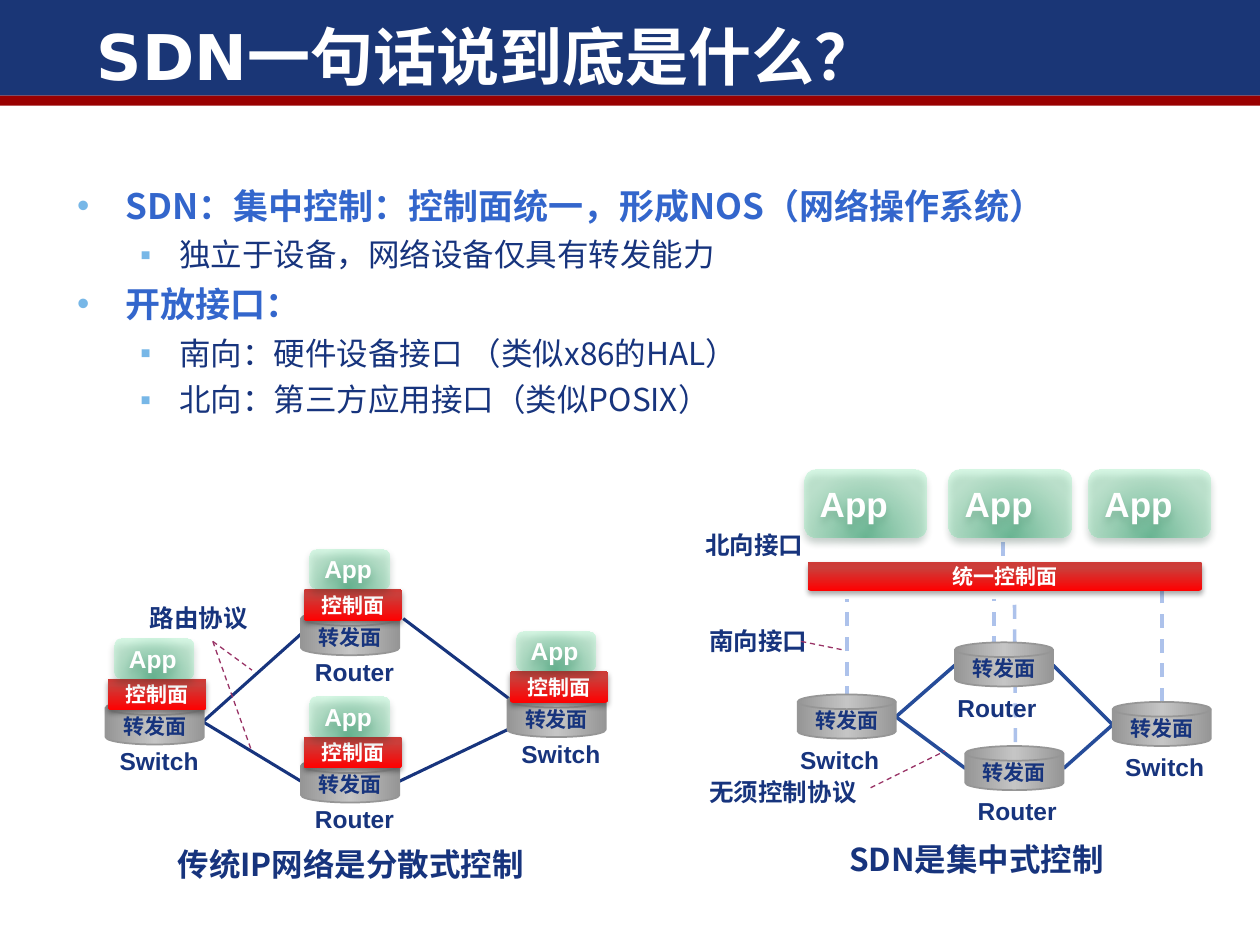
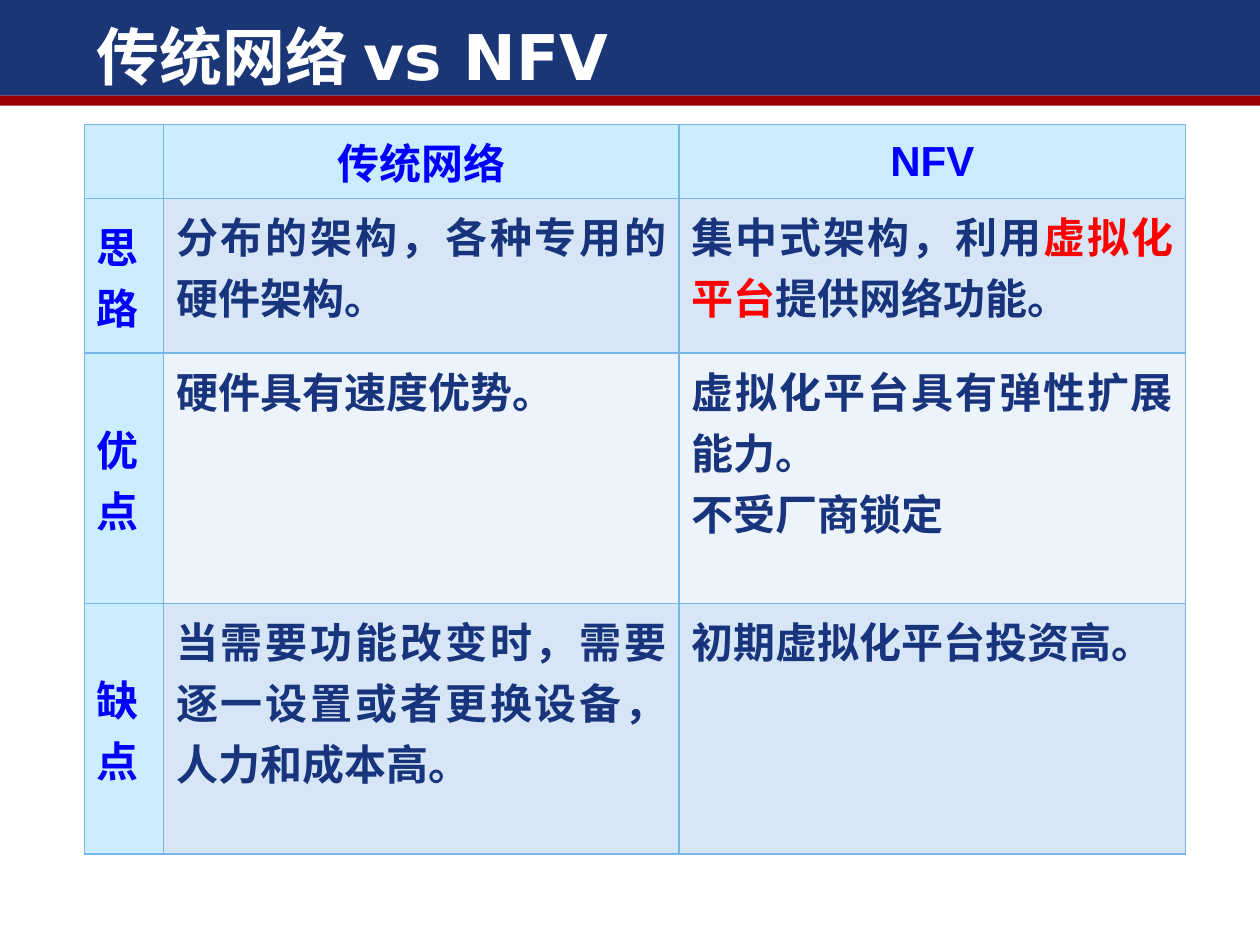
import pptx
import pptx.dml.color
import pptx.enum.shapes
import pptx.enum.text
import pptx.oxml
import pptx.oxml.ns
import pptx.util

Cm = pptx.util.Cm
Pt = pptx.util.Pt
SHAPE = pptx.enum.shapes.MSO_SHAPE
ALIGN = pptx.enum.text.PP_ALIGN
ANCHOR = pptx.enum.text.MSO_ANCHOR

NAVY, WHITE, BLUE, SKY, RED = "17347D", "FFFFFF", "0000FF", "77B7E7", "FF0000"
BAND, STRIPE, HEADING = "1A3676", "990000", "3366CC"
LINK, DASH, CALLOUT = "264C99", "ADC2EB", "993366"
HEAD_FILL, ROW_FILLS = "CCECFF", ("D6E6F6", "ECF3FA")
DISK_STOPS = [(0, "969696", 100), (50, "C5C5C5", 100), (100, "969696", 100)]
CONTROL_STOPS = [(0, "FF0000", 100), (80, "CB3E3A", 100), (100, "CE3B37", 100)]
APP_STOPS = [(0, "30A972", 60), (100, "A6EFC5", 45)]
CJK = "Noto Sans CJK SC"
DISK_W, DISK_H = 1.98, 0.89


def rgb(value):
    return pptx.dml.color.RGBColor.from_string(value)


def xml(tag, body):
    ns = pptx.oxml.ns.nsdecls("a")
    name = tag.split()[0]
    return pptx.oxml.parse_xml(f"<a:{tag} {ns}>{body}</a:{name}>")


def add_run(p, text, size, color, bold=True, font="Arial"):
    r = p.add_run()
    r.text = text
    r.font.size = Pt(size)
    r.font.bold = bold
    r.font.name = font
    r.font.color.rgb = rgb(color)
    r.font._element.find(pptx.oxml.ns.qn("a:latin")).addnext(
        xml(f'ea typeface="{CJK}"', ""))


def set_gradient(sp, stops, direction):
    gs = "".join(
        f'<a:gs pos="{pos * 1000}"><a:srgbClr val="{color}">'
        f'<a:alpha val="{alpha * 1000}"/></a:srgbClr></a:gs>'
        for pos, color, alpha in stops)
    fill = xml("gradFill", f"<a:gsLst>{gs}</a:gsLst>{direction}")
    sp._element.spPr.find(pptx.oxml.ns.qn("a:prstGeom")).addnext(fill)


def linear(degrees):
    return f'<a:lin ang="{degrees * 60000}" scaled="0"/>'


def set_shadow(sp, color, alpha, blur, dist):
    effects = sp._element.spPr.find(pptx.oxml.ns.qn("a:effectLst"))
    effects.append(xml(
        f'outerShdw blurRad="{Pt(blur)}" dist="{Pt(dist)}" dir="5400000" rotWithShape="0"',
        f'<a:srgbClr val="{color}"><a:alpha val="{alpha * 1000}"/></a:srgbClr>'))


def add_shape(slide, kind, x, y, w, h):
    sp = slide.shapes.add_shape(kind, Cm(x), Cm(y), Cm(w), Cm(h))
    sp.line.fill.background()
    sp.shadow.inherit = False
    return sp


def shape_text(sp, text, size, color, font="Arial", align=ALIGN.CENTER):
    tf = sp.text_frame
    tf.vertical_anchor = ANCHOR.MIDDLE
    p = tf.paragraphs[0]
    p.alignment = align
    add_run(p, text, size, color, font=font)


def add_disk(slide, x, y):
    sp = add_shape(slide, SHAPE.FLOWCHART_MAGNETIC_DISK, x, y, DISK_W, DISK_H)
    set_gradient(sp, DISK_STOPS, linear(0))
    sp.line.color.rgb = rgb("969696")
    sp.line.width = Pt(1)
    shape_text(sp, "转发面", 12, NAVY)
    sp.text_frame.word_wrap = False


def add_control(slide, text, x, y, w, h):
    sp = add_shape(slide, SHAPE.ROUNDED_RECTANGLE, x, y, w, h)
    sp.adjustments[0] = 0.1
    set_gradient(sp, CONTROL_STOPS, linear(270))
    set_shadow(sp, "000000", 35, 3.1, 1.8)
    shape_text(sp, text, 12, WHITE, "Calibri")


def add_app(slide, x, y, w, h, size):
    sp = add_shape(slide, SHAPE.ROUNDED_RECTANGLE, x, y, w, h)
    set_gradient(sp, APP_STOPS, '<a:path path="circle"><a:fillToRect '
                 'l="50000" t="100000" r="50000" b="0"/></a:path>')
    set_shadow(sp, "153728", 48, 4.5, 3)
    shape_text(sp, "App", size, WHITE, align=ALIGN.LEFT)


def add_label(slide, text, x, y, w, size=14):
    sp = slide.shapes.add_textbox(Cm(x), Cm(y), Cm(w), Cm(0.86))
    tf = sp.text_frame
    tf.word_wrap = True
    add_run(tf.paragraphs[0], text, size, NAVY,
            font="Arial" if text.isascii() else CJK)


def add_lines(slide, x, y, lines, color, width, dashed=False):
    for x1, y1, x2, y2 in lines:
        ln = slide.shapes.add_connector(
            pptx.enum.shapes.MSO_CONNECTOR.STRAIGHT,
            Cm(x + x1), Cm(y + y1), Cm(x + x2), Cm(y + y2))
        ln.line.color.rgb = rgb(color)
        ln.line.width = Pt(width)
        if dashed:
            ln.line.dash_style = pptx.enum.dml.MSO_LINE.DASH
        ln._element.spPr.append(xml("effectLst", ""))


def add_device(slide, name, x, y):
    add_disk(slide, x, y)
    add_control(slide, "控制面", x + 0.05, y - 0.44, DISK_W, 0.64)
    add_app(slide, x + 0.18, y - 1.24, 1.6, 0.79, 14)
    add_label(slide, name, x + 0.03, y + 0.8, 2.39)


def build_master(prs, slide):
    tree = prs.slide_master.shapes._spTree
    for i, (color, y, h) in enumerate([(BAND, 0, 1.93), (STRIPE, 1.93, 0.2)]):
        sp = add_shape(slide, SHAPE.RECTANGLE, 0, y, 25.4, h)
        sp.fill.solid()
        sp.fill.fore_color.rgb = rgb(color)
        tree.insert(2 + i, sp._element)


def place(sp, x, y, w, h):
    sp.left, sp.top, sp.width, sp.height = Cm(x), Cm(y), Cm(w), Cm(h)
    sp.text_frame.auto_size = pptx.enum.text.MSO_AUTO_SIZE.NONE


def set_title(slide, text):
    sp = slide.shapes.title
    place(sp, 1.7, 0.33, 21.67, 1.57)
    shape_text(sp, text, 36, WHITE, "DejaVu Sans", ALIGN.LEFT)


def fill_body(sp, items):
    place(sp, 1.3, 3.56, 22.81, 8.3)
    tf = sp.text_frame
    tf.vertical_anchor = ANCHOR.TOP
    for i, (heading, text) in enumerate(items):
        p = tf.add_paragraph() if i else tf.paragraphs[0]
        indent, hang, bullet = (0.97, 0.97, "•") if heading else (2.06, 0.79, "▪")
        pPr = p._p.get_or_add_pPr()
        pPr.set("marL", str(Cm(indent)))
        pPr.set("indent", str(-Cm(hang)))
        pPr.append(xml("buClr", f'<a:srgbClr val="{SKY}"/>'))
        pPr.append(xml('buFont typeface="Arial"', ""))
        pPr.append(xml(f'buChar char="{bullet}"', ""))
        p.alignment = ALIGN.LEFT
        p.line_spacing = 1.04
        p.space_before = Pt((4.6 if heading else 4.2) if i else 0)
        add_run(p, text, 20 if heading else 18,
                HEADING if heading else NAVY, heading, CJK)


def draw_distributed(slide, x, y):
    add_lines(slide, x, y, [
        (1.96, 3.48, 3.94, 1.71), (1.96, 3.48, 3.94, 4.68),
        (5.92, 4.68, 8.1, 3.64), (6, 1.4, 8.18, 3.05)], NAVY, 1.75)
    for name, dx, dy in [("Switch", 0, 3.05), ("Router", 3.94, 4.22),
                         ("Router", 3.94, 1.25), ("Switch", 8.1, 2.9)]:
        add_device(slide, name, x + dx, y + dy)
    add_label(slide, "路由协议", x + 0.64, y + 0.97, 2.77)
    add_lines(slide, x, y, [(2.16, 1.86, 2.95, 2.44), (2.16, 1.86, 2.95, 4.09)],
              CALLOUT, 0.75, True)
    add_label(slide, "传统IP网络是分散式控制", x + 1.2, y + 5.85, 7.57, 18)


def draw_centralized(slide, x, y):
    add_lines(slide, x, y, [
        (6.25, 1.73, 6.25, 1.33), (9.45, 4.68, 9.45, 2.44),
        (6.07, 4.14, 6.07, 2.6), (6.5, 5.49, 6.48, 2.6),
        (3.1, 4.65, 3.1, 2.6)], DASH, 2, True)
    add_lines(slide, x, y, [
        (4.09, 4.98, 5.28, 3.94), (4.09, 4.98, 5.49, 6.02),
        (8.46, 5.14, 7.26, 3.94), (8.46, 5.14, 7.47, 6.02)], LINK, 2)
    for name, dx, dy, shift in [
            ("Switch", 2.11, 4.53, -0.2), ("Router", 5.28, 3.48, -0.2),
            ("Router", 5.49, 5.57, 0), ("Switch", 8.46, 4.68, 0)]:
        add_disk(slide, x + dx, y + dy)
        add_label(slide, name, x + dx + shift, y + dy + DISK_H, 2.39)
    add_control(slide, "统一控制面", x + 2.31, y + 1.86, 7.95, 0.58)
    for dx in (2.24, 5.16, 7.98):
        add_app(slide, x + dx, y, 2.46, 1.37, 20)
    for text, dx, dy in [("北向接口", 0, 1.1), ("南向接口", 0.08, 3.03),
                         ("无须控制协议", 0.08, 6.07)]:
        add_label(slide, text, x + dx, y + dy, 3.96)
    add_lines(slide, x, y, [(2.18, 3.46, 3.07, 3.64), (3.58, 6.41, 5.08, 5.67)],
              CALLOUT, 0.75, True)
    add_label(slide, "SDN是集中式控制", x + 2.9, y + 7.34, 5.79, 18)


def style_cell(cell, fill):
    cell.fill.solid()
    cell.fill.fore_color.rgb = rgb(fill)
    cell.margin_left = cell.margin_right = Cm(0.25)
    cell.margin_top = cell.margin_bottom = Cm(0.13)
    tcPr = cell._tc.get_or_add_tcPr()
    for i, side in enumerate(("lnL", "lnR", "lnT", "lnB")):
        tcPr.insert(i, xml(f'{side} w="{Pt(1)}"', '<a:solidFill>'
                           f'<a:srgbClr val="{SKY}"/></a:solidFill>'))


def draw_comparison(slide, x, y, rows):
    widths, heights = (1.6, 10.39, 10.21), (1.49, 3.12, 5.05, 5.05)
    frame = slide.shapes.add_table(len(heights), len(widths), Cm(x), Cm(y),
                                   Cm(sum(widths)), Cm(sum(heights)))
    table = frame.table
    for col, w in zip(table.columns, widths):
        col.width = Cm(w)
    for row, h in zip(table.rows, heights):
        row.height = Cm(h)
    for i, row in enumerate(rows):
        for j, paragraphs in enumerate(row):
            cell = table.cell(i, j)
            header = i == 0 or j == 0
            style_cell(cell, HEAD_FILL if header else ROW_FILLS[(i - 1) % 2])
            cell.vertical_anchor = ANCHOR.MIDDLE if header else ANCHOR.TOP
            tf = cell.text_frame
            for k, runs in enumerate(paragraphs):
                p = tf.add_paragraph() if k else tf.paragraphs[0]
                p.alignment = (ALIGN.CENTER if i == 0 else
                               ALIGN.LEFT if j == 0 else ALIGN.JUSTIFY)
                for n, text in enumerate(runs):
                    color = BLUE if header else RED if n % 2 else NAVY
                    add_run(p, text, 24, color)


def build_sdn(slide):
    set_title(slide, "SDN一句话说到底是什么？")
    fill_body(slide.placeholders[1], [
        (True, "SDN：集中控制：控制面统一，形成NOS（网络操作系统）"),
        (False, "独立于设备，网络设备仅具有转发能力"),
        (True, "开放接口："),
        (False, "南向：硬件设备接口 （类似x86的HAL）"),
        (False, "北向：第三方应用接口（类似POSIX）")])
    draw_distributed(slide, 2.13, 11.07)
    draw_centralized(slide, 13.97, 9.47)


def build_nfv(slide):
    set_title(slide, "传统网络 vs NFV")
    draw_comparison(slide, 1.7, 2.51, [
        [[], [["传统网络"]], [["NFV"]]],
        [[["思路"]], [["分布的架构，各种专用的硬件架构。"]],
         [["集中式架构，利用", "虚拟化平台", "提供网络功能。"]]],
        [[["优点"]], [["硬件具有速度优势。"]],
         [["虚拟化平台具有弹性扩展能力。"], ["不受厂商锁定"]]],
        [[["缺点"]], [["当需要功能改变时，需要逐一设置或者更换设备，人力和成本高。"]],
         [["初期虚拟化平台投资高。"]]]])


def main():
    prs = pptx.Presentation()
    prs.slide_width, prs.slide_height = Cm(25.4), Cm(19.05)
    sdn = prs.slides.add_slide(prs.slide_layouts[1])
    nfv = prs.slides.add_slide(prs.slide_layouts[5])
    build_master(prs, sdn)
    build_sdn(sdn)
    build_nfv(nfv)
    prs.save("out.pptx")


if __name__ == "__main__":
    main()
